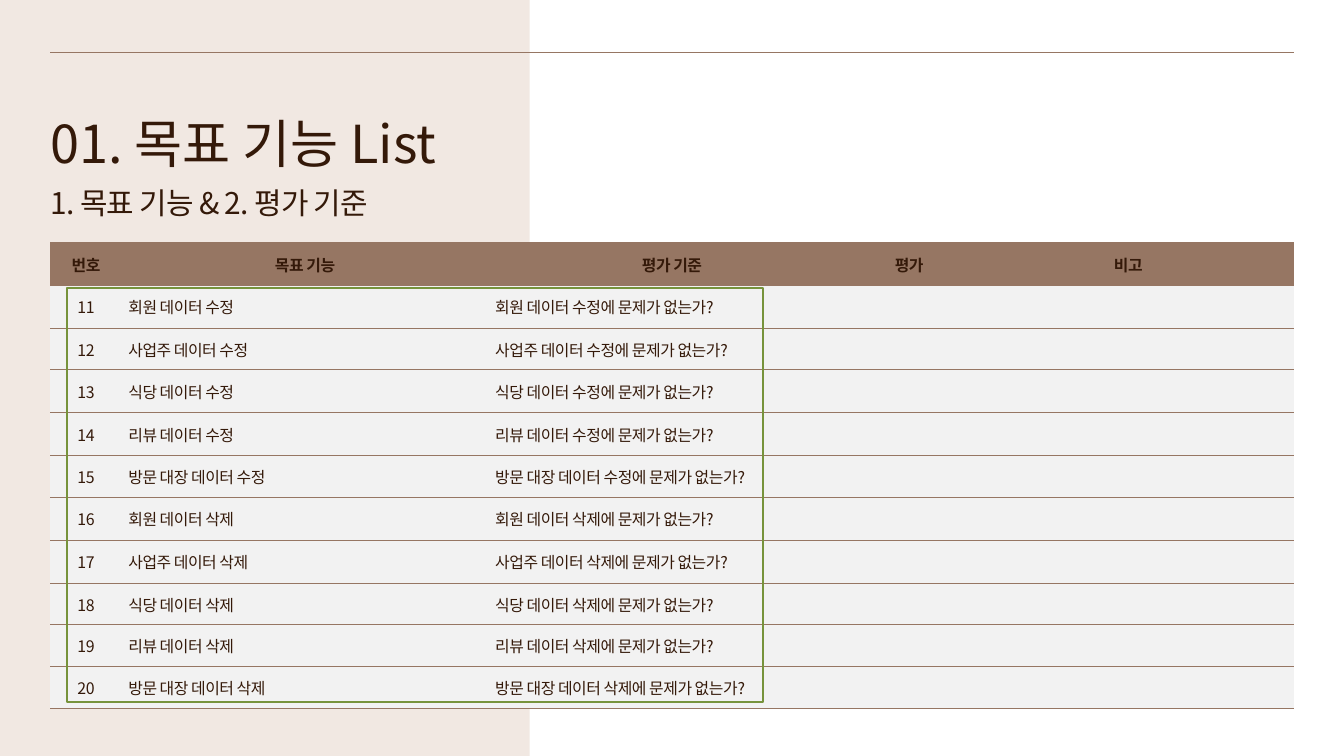
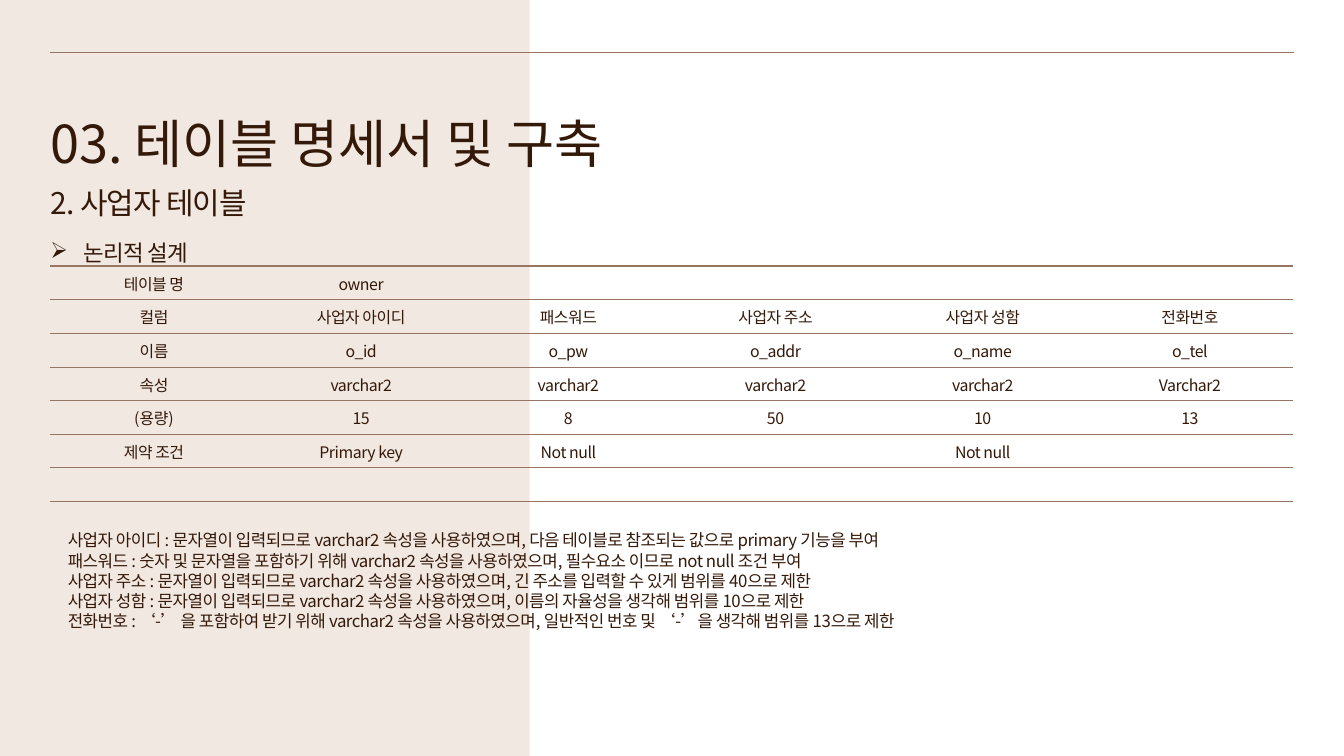
from pptx import Presentation
from pptx.dml.color import RGBColor
from pptx.enum.shapes import MSO_CONNECTOR, MSO_SHAPE
from pptx.enum.text import MSO_ANCHOR, MSO_AUTO_SIZE, PP_ALIGN
from pptx.oxml.ns import qn
from pptx.util import Inches, Pt
from lxml import etree

RECTANGLE, STRAIGHT = MSO_SHAPE.RECTANGLE, MSO_CONNECTOR.STRAIGHT
MIDDLE, GROW = MSO_ANCHOR.MIDDLE, MSO_AUTO_SIZE.SHAPE_TO_FIT_TEXT
LEFT, CENTER = PP_ALIGN.LEFT, PP_ALIGN.CENTER

# Content: target features
FEATURES = {
    "title": "01. 목표 기능 List",
    "subtitle": "1. 목표 기능 & 2. 평가 기준",
    "header": ["번호", "목표 기능", "평가 기준", "평가", "비고"],
    "first_number": 11,
    "targets": ["회원", "사업주", "식당", "리뷰", "방문 대장"],
    "actions": ["수정", "삭제"],
}

# Content: owner table
OWNER = {
    "title": "03. 테이블 명세서 및 구축",
    "subtitle": "2. 사업자 테이블",
    "section": "논리적 설계",
    "rows": [
        ["테이블 명", "owner", "", "", "", ""],
        ["컬럼", "사업자 아이디", "패스워드", "사업자 주소", "사업자 성함", "전화번호"],
        ["이름", "o_id", "o_pw", "o_addr", "o_name", "o_tel"],
        ["속성", "varchar2", "varchar2", "varchar2", "varchar2", "Varchar2"],
        ["(용량)", "15", "8", "50", "10", "13"],
        ["제약 조건", "Primary key", "Not null", "", "Not null", ""],
        ["", "", "", "", "", ""],
    ],
    "notes": [
        "사업자 아이디 : 문자열이 입력되므로 varchar2 속성을 사용하였으며, 다음 테이블로 참조되는 값으로 primary 기능을 부여",
        "패스워드 : 숫자 및 문자열을 포함하기 위해 varchar2 속성을 사용하였으며, 필수요소 이므로 not null 조건 부여",
        "사업자 주소 : 문자열이 입력되므로 varchar2 속성을 사용하였으며, 긴 주소를 입력할 수 있게 범위를 40으로 제한",
        "사업자 성함 : 문자열이 입력되므로 varchar2 속성을 사용하였으며, 이름의 자율성을 생각해 범위를 10으로 제한",
        "전화번호 : ‘-’ 을 포함하여 받기 위해 varchar2 속성을 사용하였으며, 일반적인 번호 및 ‘-’을 생각해 범위를 13으로 제한",
    ],
}

# Theme: colours and type styles
HEADING_FONT, BODY_FONT = "Noto Sans CJK KR", "Noto Sans CJK SC"
THEME = {
    "sand": "F1E8E2", "white": "FFFFFF", "brown": "967663",
    "ink": "341909", "grey": "F2F2F2", "green": "77933C",
    "title": {"font": {"name": HEADING_FONT, "size": Pt(56)}, "line": Pt(74.5), "track": 0},
    "subtitle": {"font": {"name": HEADING_FONT, "size": Pt(32)}, "line": Pt(49.3), "track": -90},
    "section": {"font": {"name": HEADING_FONT, "size": Pt(24)}, "line": Pt(49.3), "track": -90},
    "head": {"font": {"name": BODY_FONT, "size": Pt(17), "bold": True}, "line": 1.03, "track": -50},
    "cell": {"font": {"name": BODY_FONT, "size": Pt(17)}, "line": 1.03, "track": -50},
    "note": {"font": {"name": BODY_FONT, "size": Pt(18)}, "line": Pt(21.6), "track": -50},
}

# Grid, in inches
WIDTH, HEIGHT = 20, 11.25
MARGIN = 0.75
CONTENT_WIDTH = WIDTH - 2 * MARGIN
PANEL_LEFT = 7.88
RULE_TOP = 0.78
HAIRLINE, MEDIUM, HEAVY = 0.75, 1, 3
NO_STYLE = "{2D5ABB26-0587-4C30-8999-92F81FD0307C}"


def color(role):
    return RGBColor.from_string(THEME[role])


def inches(*lengths):
    return [Inches(length) for length in lengths]


def write(paragraph, text, style, align=LEFT):
    """One run of text in a theme style."""
    look = THEME[style]
    paragraph.alignment = align
    paragraph.line_spacing = look["line"]
    run = paragraph.add_run()
    run.text = text
    run.font.color.rgb = color("ink")
    for attribute, value in look["font"].items():
        setattr(run.font, attribute, value)
    properties = run._r.get_or_add_rPr()
    properties.set("spc", str(look["track"]))
    etree.SubElement(properties, qn("a:ea"), typeface=look["font"]["name"])


def add_text(slide, box, lines, style, inset=0.0, bullet=None):
    frame = slide.shapes.add_textbox(*inches(*box)).text_frame
    settings = {"word_wrap": True, "auto_size": GROW,
                "margin_left": Inches(inset), "margin_right": Inches(inset),
                "margin_top": Inches(inset / 2), "margin_bottom": Inches(inset / 2)}
    for attribute, value in settings.items():
        setattr(frame, attribute, value)
    for index, line in enumerate(lines):
        paragraph = frame.add_paragraph() if index else frame.paragraphs[0]
        if bullet:
            properties = paragraph._p.get_or_add_pPr()
            properties.set("marL", str(Inches(0.5)))
            properties.set("indent", str(-Inches(0.5)))
            etree.SubElement(properties, qn("a:buChar"), char=bullet)
        write(paragraph, line, style)


def set_borders(cell, top, bottom):
    """Horizontal rules only; the sides stay open."""
    properties = cell._tc.get_or_add_tcPr()
    for side, width in {"L": 0, "R": 0, "T": top, "B": bottom}.items():
        border = etree.SubElement(properties, qn(f"a:ln{side}"), w=str(Pt(width)))
        if width:
            fill = etree.SubElement(border, qn("a:solidFill"))
            etree.SubElement(fill, qn("a:srgbClr"), val=THEME["brown"])
        else:
            etree.SubElement(border, qn("a:noFill"))


def add_grid(slide, top, columns, heights, rows, rules, look):
    """rules holds the rule widths above, between and below the rows.
    look(row, column) gives fill, style and alignment."""
    table = slide.shapes.add_table(len(rows), len(columns), *inches(
        MARGIN, top, sum(columns), sum(heights))).table
    table.first_row = table.horz_banding = False
    table._tbl.tblPr.find(qn("a:tableStyleId")).text = NO_STYLE
    for column, width in zip(table.columns, columns):
        column.width = Inches(width)
    for r, (row, height) in enumerate(zip(rows, heights)):
        table.rows[r].height = Inches(height)
        for c, text in enumerate(row):
            cell = table.cell(r, c)
            fill, style, align = look(r, c)
            set_borders(cell, rules[r], rules[r + 1])
            if fill:
                cell.fill.solid()
                cell.fill.fore_color.rgb = color(fill)
            else:
                cell.fill.background()
            cell.vertical_anchor = MIDDLE
            if text:
                write(cell.text_frame.paragraphs[0], text, style, align)


def add_page(deck, content, title_width):
    """Blank slide with the white panel, top rule, title and subtitle."""
    slide = deck.slides.add_slide(deck.slide_layouts[6])
    slide.background.fill.solid()
    slide.background.fill.fore_color.rgb = color("sand")
    panel = slide.shapes.add_shape(RECTANGLE, *inches(PANEL_LEFT, 0, WIDTH - PANEL_LEFT, HEIGHT))
    panel.shadow.inherit = False
    panel.fill.solid()
    panel.fill.fore_color.rgb = color("white")
    panel.line.fill.background()
    rule = slide.shapes.add_connector(STRAIGHT, *inches(MARGIN, RULE_TOP, WIDTH - MARGIN, RULE_TOP))
    rule.line.color.rgb = color("brown")
    rule.line.width = Pt(HAIRLINE)
    etree.SubElement(rule._element.spPr, qn("a:effectLst"))
    add_text(slide, (MARGIN, 1.55, title_width, 1.04), [content["title"]], "title")
    add_text(slide, (MARGIN, 2.59, 7.13, 0.69), [content["subtitle"]], "subtitle")
    return slide


def build_features(deck):
    slide = add_page(deck, FEATURES, 8.16)
    features = [f"{target} 데이터 {action}"
                for action in FEATURES["actions"] for target in FEATURES["targets"]]
    rows = [FEATURES["header"]] + [
        [str(number), feature, f"{feature}에 문제가 없는가?", "", ""]
        for number, feature in enumerate(features, FEATURES["first_number"])]
    tall_rows, medium_rules = {1, 3, 4, 6, 7}, {5, 10, 11}
    heights = [0.64 if r in tall_rows else 0.62 for r in range(len(rows))]
    rules = [HEAVY] + [MEDIUM if r in medium_rules else HAIRLINE
                       for r in range(1, len(rows) + 1)]

    def look(r, c):
        if r == 0:
            return "brown", "head", CENTER
        return "grey", "cell", LEFT if c else CENTER

    add_grid(slide, 3.62, [1.06, 5.46, 5.46, 1.6, 4.92], heights, rows, rules, look)

    # Frame around the numbered features and criteria
    frame = slide.shapes.add_shape(RECTANGLE, *inches(1, 4.29, 10.36, 6.16))
    frame.shadow.inherit = False
    frame.fill.background()
    frame.line.color.rgb = color("green")
    frame.line.width = Pt(2)


def build_owner(deck):
    slide = add_page(deck, OWNER, 15)
    rows = OWNER["rows"]
    count = len(rows[0])
    add_grid(slide, 3.96, [CONTENT_WIDTH / count] * count, [0.5] * len(rows), rows,
             [HEAVY] + [HAIRLINE] * len(rows), lambda r, c: (None, "cell", CENTER))
    add_text(slide, (MARGIN, 3.28, 4.34, 0.6), [OWNER["section"]], "section", bullet="➢")
    add_text(slide, (0.91, 7.84, 17.25, 1.62), OWNER["notes"], "note", inset=0.1)


def main():
    deck = Presentation()
    deck.slide_width, deck.slide_height = inches(WIDTH, HEIGHT)
    build_features(deck)
    build_owner(deck)
    deck.save("out.pptx")


if __name__ == "__main__":
    main()
